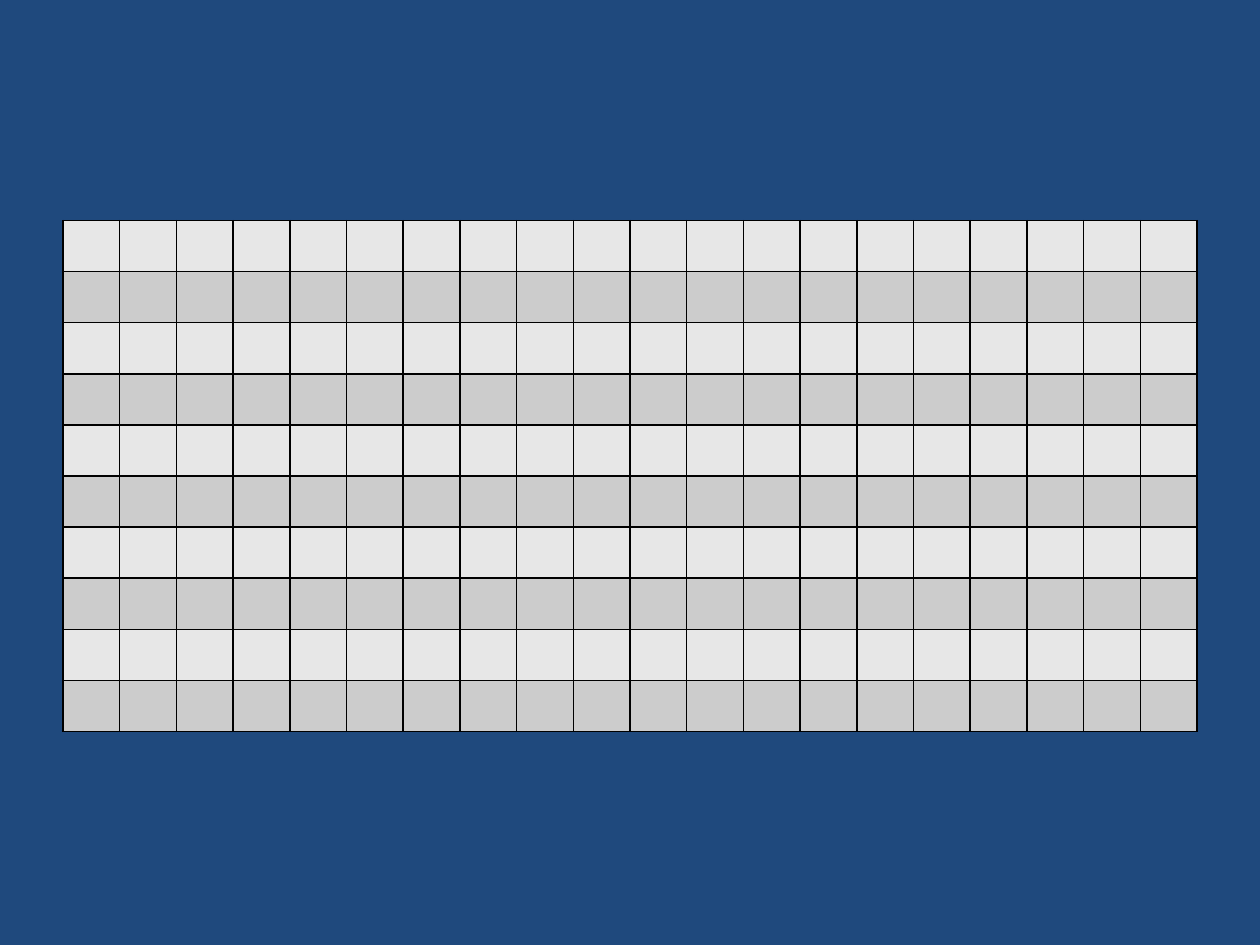
import pptx
import pptx.dml.color
import pptx.util
import lxml.etree

Pt = pptx.util.Pt
RGB = pptx.dml.color.RGBColor.from_string

THEME = {
    "background": "1F497D",
    "bands": ("E7E7E7", "CCCCCC"),
    "border": "000000",
    "border_width": 1,
}
ROWS, COLS = 10, 20
ROW_HEIGHT, COL_WIDTH = 29.2, 32.4
LEFT, TOP = 36, 126
NS = "http://schemas.openxmlformats.org/drawingml/2006/main"


def add_borders(cell):
    """Draw a solid line on all four sides of a cell."""
    tc_pr = cell._tc.get_or_add_tcPr()
    for side in ("lnL", "lnR", "lnT", "lnB"):
        ln = lxml.etree.SubElement(tc_pr, f"{{{NS}}}{side}", w=str(Pt(THEME["border_width"])))
        fill = lxml.etree.SubElement(ln, f"{{{NS}}}solidFill")
        lxml.etree.SubElement(fill, f"{{{NS}}}srgbClr", val=THEME["border"])


prs = pptx.Presentation()
prs.slide_width, prs.slide_height = Pt(720), Pt(540)
s = prs.slides.add_slide(prs.slide_layouts[6])
s.background.fill.solid()
s.background.fill.fore_color.rgb = RGB(THEME["background"])

table = s.shapes.add_table(
    ROWS, COLS, Pt(LEFT), Pt(TOP), Pt(COLS * COL_WIDTH), Pt(ROWS * ROW_HEIGHT)
).table
table.first_row = False
table.horz_banding = False
for column in table.columns:
    column.width = Pt(COL_WIDTH)

for i, row in enumerate(table.rows):
    row.height = Pt(ROW_HEIGHT)
    for cell in row.cells:
        add_borders(cell)
        cell.fill.solid()
        cell.fill.fore_color.rgb = RGB(THEME["bands"][i % 2])

prs.save("out.pptx")
